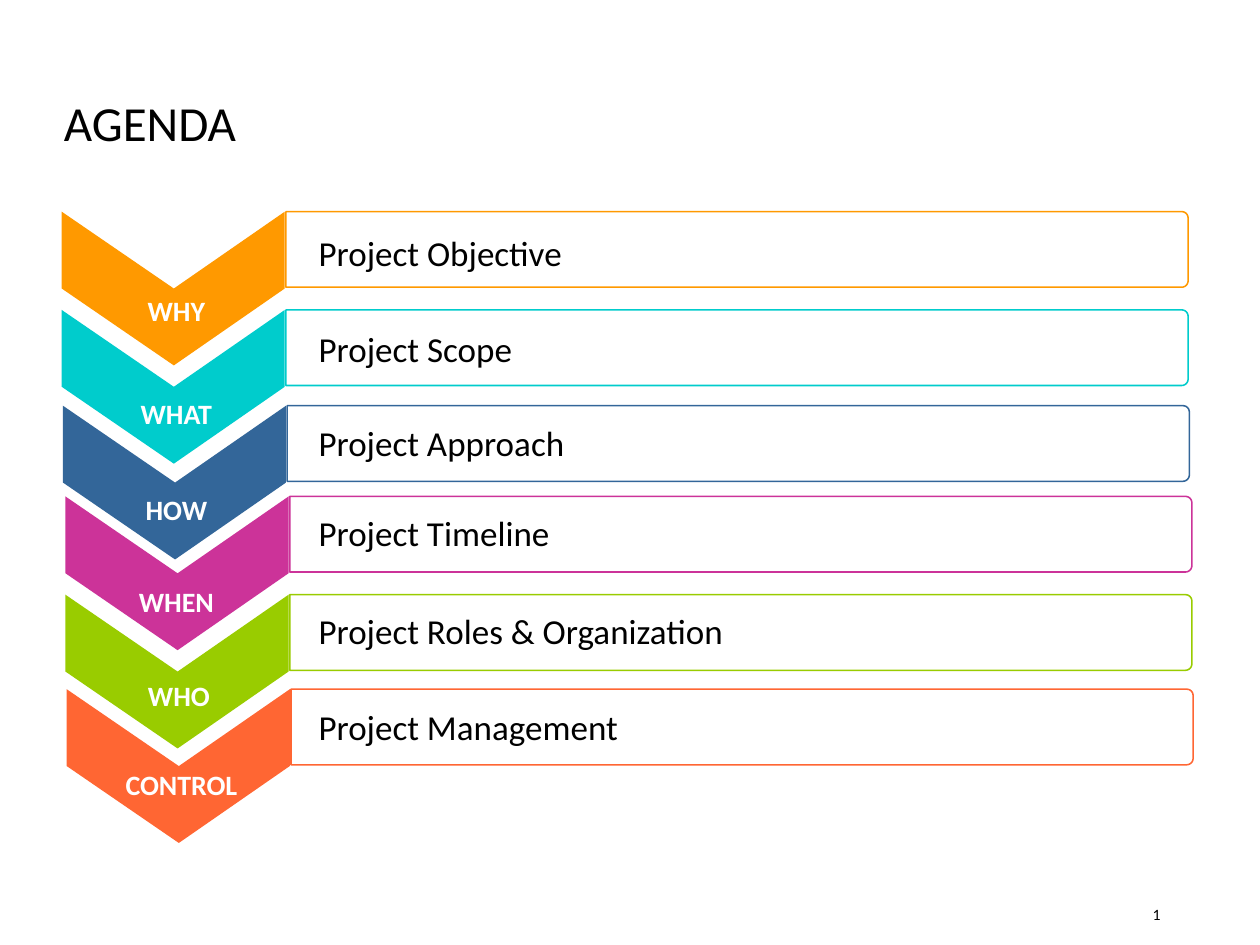
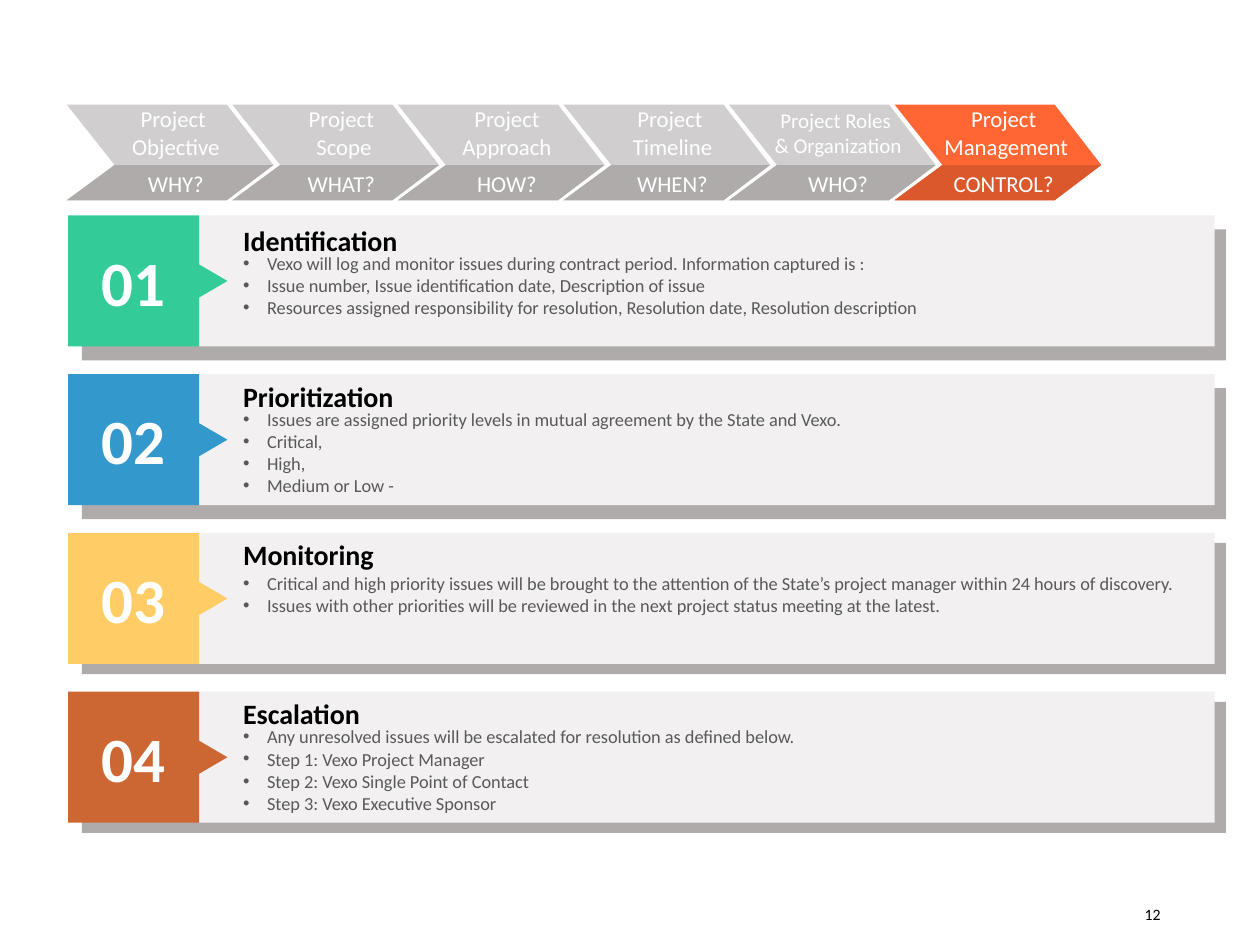
"""Build the agenda slide and the issue management slide of a project deck."""
from dataclasses import dataclass
from math import cos, pi, sin

from lxml import etree
from pptx import Presentation
from pptx.dml.color import RGBColor
from pptx.enum import shapes, text
from pptx.oxml import ns
from pptx.util import Inches, Pt

FONT = "Calibri"
BLACK = RGBColor(0x00, 0x00, 0x00)
WHITE = RGBColor(0xFF, 0xFF, 0xFF)
BODY = RGBColor(0x59, 0x59, 0x59)
PANEL = RGBColor(0xF2, 0xF0, 0xF0)
PALE = RGBColor(0xD0, 0xCE, 0xCE)
GREY = RGBColor(0xAF, 0xAB, 0xAB)
AMBER = RGBColor(0xFF, 0x99, 0x00)
AQUA = RGBColor(0x00, 0xCC, 0xCC)
NAVY = RGBColor(0x33, 0x66, 0x99)
PINK = RGBColor(0xCC, 0x33, 0x99)
LIME = RGBColor(0x99, 0xCC, 0x00)
CORAL = RGBColor(0xFF, 0x66, 0x33)
RUST = RGBColor(0xDB, 0x58, 0x2C)
GREEN = RGBColor(0x33, 0xCC, 0x99)
BLUE = RGBColor(0x33, 0x99, 0xCC)
GOLD = RGBColor(0xFF, 0xCC, 0x66)
BROWN = RGBColor(0xCC, 0x66, 0x33)

ALIGN = text.PP_ALIGN
ANCHOR = text.MSO_ANCHOR
SHAPE = shapes.MSO_SHAPE
Box = tuple[float, float, float, float]
Points = list[tuple[float, float]]


@dataclass
class Topic:
    """One agenda row: chevron with a question word, and its bar."""
    word: str
    name: str
    color: RGBColor
    left: float
    top: float
    word_left: float
    word_top: float
    name_top: float
    name_width: float


@dataclass
class Step:
    """One link of the progress band."""
    lines: list[str]
    word: str
    size: float = 13
    upper: RGBColor = PALE
    lower: RGBColor = GREY


@dataclass
class Stage:
    """One numbered panel of the issue process."""
    head: str
    color: RGBColor
    points: list[str]
    head_top: float
    body_top: float
    shade_top: float
    body_width: float


TOPICS = [
    Topic("WHY", "Project Objective", AMBER, 0.49, 1.68, 0.5, 2.28, 1.79, 2.15),
    Topic("WHAT", "Project Scope", AQUA, 0.49, 2.46, 0.5, 3.1, 2.55, 1.75),
    Topic("HOW", "Project Approach", NAVY, 0.5, 3.22, 0.5, 3.86, 3.3, 2.17),
    Topic("WHEN", "Project Timeline", PINK, 0.52, 3.94, 0.5, 4.59, 4.01, 2.06),
    Topic("WHO", "Project Roles & Organization", LIME,
          0.52, 4.72, 0.52, 5.34, 4.79, 3.44),
    Topic("CONTROL", "Project Management", CORAL,
          0.53, 5.47, 0.54, 6.04, 5.55, 2.6),
]

STEPS = [
    Step(["Project ", "Objective"], "WHY?"),
    Step(["Project", " Scope"], "WHAT?"),
    Step(["Project", "Approach"], "HOW?"),
    Step(["Project ", "Timeline"], "WHEN?"),
    Step(["Project Roles ", "& Organization"], "WHO?", 12),
    Step(["Project", " Management"], "CONTROL?", 13, CORAL, RUST),
]

STAGES = [
    Stage("Identification", GREEN, [
        "Vexo will log and monitor issues during contract period. "
        "Information captured is :",
        "Issue number, Issue identification date, Description of issue",
        "Resources assigned responsibility for resolution, Resolution date, "
        "Resolution description",
    ], 1.72, 1.95, 1.82, 7.52),
    Stage("Prioritization", BLUE, [
        "Issues are assigned priority levels in mutual agreement "
        "by the State and Vexo.",
        "Critical,",
        "High,",
        "Medium or Low -",
    ], 2.96, 3.19, 3.08, 7.64),
    Stage("Monitoring", GOLD, [
        "Critical and high priority issues will be brought to the attention "
        "of the State’s project manager within 24 hours of discovery.",
        "Issues with other priorities will be reviewed in the next project "
        "status meeting at the latest.",
    ], 4.21, 4.49, 4.31, 7.52),
    Stage("Escalation", BROWN, [
        "Any unresolved issues will be escalated for resolution "
        "as defined below.",
        "Step 1: Vexo Project Manager",
        "Step 2: Vexo Single Point of Contact",
        "Step 3: Vexo Executive Sponsor",
    ], 5.47, 5.71, 5.57, 7.64),
]


def write(frame, lines: list[str], *, size: float, color: RGBColor = BLACK,
          bold: bool = False, align=ALIGN.LEFT, anchor=ANCHOR.TOP,
          pad: Box = (0.1, 0.05, 0.1, 0.05), wrap: bool = True,
          bullet: bool = False, space: float = 1.0) -> None:
    """Fill a text frame with one paragraph for each line."""
    frame.word_wrap = wrap
    frame.vertical_anchor = anchor
    (frame.margin_left, frame.margin_top,
     frame.margin_right, frame.margin_bottom) = map(Inches, pad)
    for i, line in enumerate(lines):
        para = frame.add_paragraph() if i else frame.paragraphs[0]
        para.alignment = align
        para.line_spacing = space
        run = para.add_run()
        run.text = line
        run.font.name = FONT
        run.font.size = Pt(size)
        run.font.bold = bold
        run.font.color.rgb = color
        if bullet:
            props = para._p.get_or_add_pPr()
            props.set("marL", str(Inches(0.19)))
            props.set("indent", str(-Inches(0.19)))
            etree.SubElement(props, ns.qn("a:buFont")).set("typeface", "Arial")
            etree.SubElement(props, ns.qn("a:buChar")).set("char", "•")


def label(slide, lines: list[str], box: Box, **style) -> None:
    """Add a text box."""
    write(slide.shapes.add_textbox(*map(Inches, box)).text_frame, lines, **style)


def paint(shape, fill: RGBColor | None = None, line: RGBColor | None = None):
    """Set fill and outline, and drop the shadow."""
    shape.shadow.inherit = False
    if fill is None:
        shape.fill.background()
    else:
        shape.fill.solid()
        shape.fill.fore_color.rgb = fill
    if line is None:
        shape.line.fill.background()
    else:
        shape.line.color.rgb = line
        shape.line.width = Pt(0.88)
    return shape


def block(slide, kind, box: Box, fill: RGBColor):
    """Add a filled preset shape."""
    return paint(slide.shapes.add_shape(kind, *map(Inches, box)), fill)


def poly(slide, left: float, top: float, points: Points, **style) -> None:
    """Add a closed outline, with points relative to left and top."""
    spots = [(Inches(left + x), Inches(top + y)) for x, y in points]
    pen = slide.shapes.build_freeform(*spots[0])
    pen.add_line_segments(spots[1:], close=True)
    paint(pen.convert_to_shape(), **style)


def bar(width: float, height: float, radius: float) -> Points:
    """Return a rectangle outline whose right corners are round."""
    turns = [i * pi / 12 for i in range(7)]
    upper = [(width - radius + radius * sin(t), radius - radius * cos(t))
             for t in turns]
    lower = [(x, height - y) for x, y in reversed(upper)]
    return [(0, 0), *upper, *lower, (0, height)]


def page(deck, number: int):
    """Add a blank slide with its number."""
    slide = deck.slides.add_slide(deck.slide_layouts[6])
    label(slide, [str(number)], (7.06, 7.06, 2.25, 0.4), size=9,
          align=ALIGN.RIGHT, anchor=ANCHOR.MIDDLE)
    return slide


def agenda(deck) -> None:
    """Draw the agenda slide."""
    slide = page(deck, 1)
    label(slide, ["AGENDA"], (0.41, 0.67, 7.26, 0.66), size=28,
          anchor=ANCHOR.MIDDLE, space=0.9)
    arrow = [(1.77, 0), (0.89, 0.61), (0, 0),
             (0, 0.61), (0.89, 1.22), (1.77, 0.61)]
    for topic in TOPICS:
        poly(slide, topic.left, topic.top, arrow, fill=topic.color)
        poly(slide, topic.left + 1.78, topic.top, bar(7.16, 0.6, 0.05),
             line=topic.color)
    for topic in TOPICS:
        label(slide, [topic.name], (2.43, topic.name_top, topic.name_width, 0.44),
              size=20, wrap=False)
        label(slide, [topic.word], (topic.word_left, topic.word_top, 1.8, 0.37),
              size=16, color=WHITE, bold=True, align=ALIGN.CENTER)


def band(slide) -> None:
    """Draw the progress band."""
    upper = [(1.27, 0.76), (1.64, 0.48), (1.27, 0),
             (0, 0), (0.38, 0.48), (0, 0.76)]
    lower = [(1.64, 0), (0.38, 0), (0, 0.28), (1.27, 0.28)]
    for i, step in enumerate(STEPS):
        left = 0.53 + i * 6.57 / 5
        poly(slide, left, 0.83, upper, fill=step.upper)
        poly(slide, left, 1.31, lower, fill=step.lower)
        label(slide, step.lines, (left + 0.09, 0.78, 1.55, 0.54),
              size=step.size, color=WHITE, align=ALIGN.CENTER,
              anchor=ANCHOR.MIDDLE)
        label(slide, [step.word], (left + 0.09, 1.3, 1.55, 0.32), size=13,
              color=WHITE, align=ALIGN.CENTER)


def issues(deck) -> None:
    """Draw the issue management slide."""
    slide = page(deck, 12)
    for i, stage in enumerate(STAGES):
        top = 1.71 + i * 1.26
        block(slide, SHAPE.RECTANGLE, (0.65, stage.shade_top, 9.08, 1.04), GREY)
        block(slide, SHAPE.RECTANGLE, (1.58, top, 8.06, 1.04), PANEL)
        tile = block(slide, SHAPE.RECTANGLE, (0.54, top, 1.04, 1.04), stage.color)
        write(tile.text_frame, [f"{i + 1:02}"], size=36, color=WHITE, bold=True,
              align=ALIGN.CENTER, anchor=ANCHOR.MIDDLE,
              pad=(0.07, 0.04, 0.07, 0.04))
        tip = block(slide, SHAPE.ISOSCELES_TRIANGLE,
                    (1.48, top + 0.37, 0.35, 0.3), stage.color)
        tip.rotation = 90
        label(slide, [stage.head], (1.93, stage.head_top, 5.33, 0.37), size=16,
              bold=True, anchor=ANCHOR.BOTTOM, pad=(0, 0.05, 0.1, 0.05))
        height = 0.1 + 0.18 * len(stage.points)
        label(slide, stage.points,
              (1.93, stage.body_top, stage.body_width, height), size=10.5,
              color=BODY, align=ALIGN.JUSTIFY, pad=(0, 0.05, 0, 0.05),
              bullet=True)
    band(slide)


def main() -> None:
    """Build and save the deck."""
    deck = Presentation()
    deck.slide_width, deck.slide_height = Inches(10), Inches(7.5)
    agenda(deck)
    issues(deck)
    deck.save("out.pptx")


if __name__ == "__main__":
    main()
